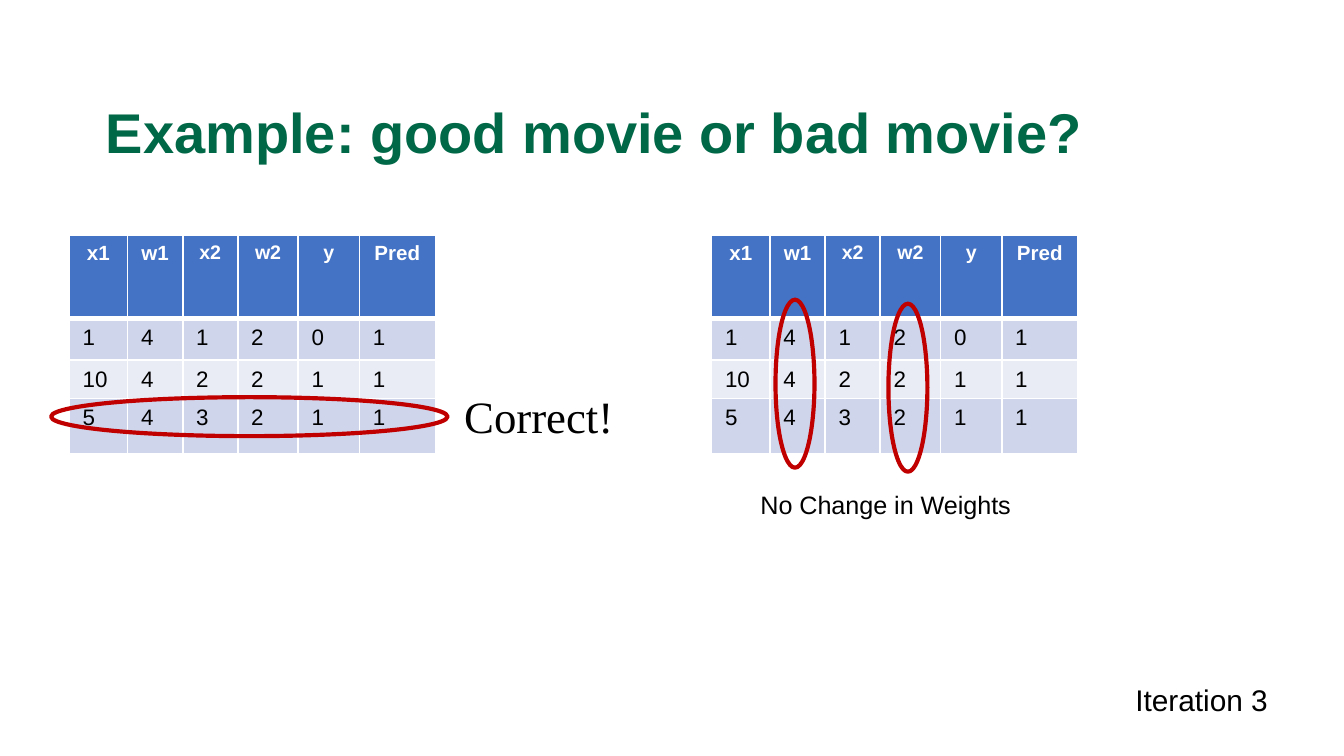
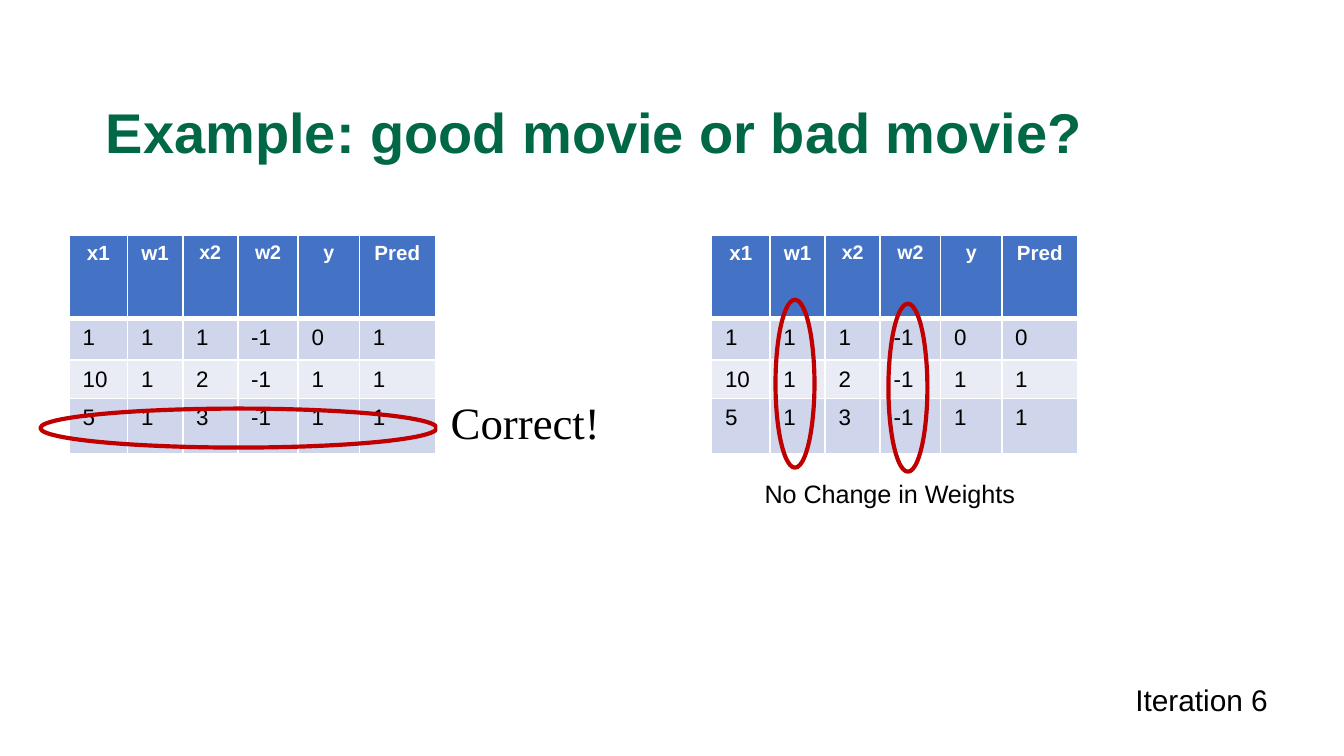
from lxml.etree import SubElement
from pptx import Presentation
from pptx.dml.color import RGBColor
from pptx.enum.shapes import MSO_SHAPE
from pptx.enum.text import MSO_ANCHOR, MSO_AUTO_SIZE, PP_ALIGN
from pptx.oxml.ns import qn
from pptx.util import Pt

PX = 4572
SLIDE_WIDTH, SLIDE_HEIGHT = 2000, 1125
GREEN = RGBColor(0x00, 0x67, 0x47)
BLUE = RGBColor(0x44, 0x72, 0xC4)
BAND_DARK = RGBColor(0xCF, 0xD5, 0xEA)
BAND_LIGHT = RGBColor(0xE9, 0xEB, 0xF5)
RED = RGBColor(0xC0, 0x00, 0x00)
WHITE = RGBColor(0xFF, 0xFF, 0xFF)
BLACK = RGBColor(0x00, 0x00, 0x00)
SANS = "Arial"
SERIF = "Times New Roman"

TITLE = "Example: good movie or bad movie?"
TITLE_BOX = (138, 126, 1724, 152)
FOOTER_BOX = (1670, 1005, 240, 74)
LEFT_TABLE = (103, 350)
RIGHT_TABLE = (1059, 350)
HEADERS = [("x1", 11), ("w1", 11), ("x2", 10.5), ("w2", 10.5), ("y", 10.5), ("Pred", 11)]
COLUMN_WIDTHS = [87, 82, 82, 90, 91, 113]
ROW_HEIGHTS = [124, 62, 57, 83]
CELL_MARGIN_BOTTOM = 6
SAMPLES = [(1, 1, 0), (10, 2, 1), (5, 3, 1)]
WEIGHT_RINGS = [(-1, 192), (167, 198)]
RING_SIZE = (250, 58)

ITERATIONS = [
    {
        "number": 3,
        "weights": (4, 2),
        "before": (1, 1, 1),
        "after": (1, 1, 1),
        "ring": (76, 591, 590, 58),
        "verdict": (671, 565, 298, 106),
        "note": (1112, 719, 418, 66),
    },
    {
        "number": 6,
        "weights": (1, -1),
        "before": (1, 1, 1),
        "after": (0, 1, 1),
        "ring": (60, 608, 590, 58),
        "verdict": (651, 574, 299, 106),
        "note": (1118, 702, 418, 66),
    },
]


def scaled(box):
    return [value * PX for value in box]


def add_run(paragraph, text, size, color=BLACK, font=SANS, bold=False):
    run = paragraph.add_run()
    run.text = text
    run.font.name = font
    run.font.size = Pt(size)
    run.font.bold = bold
    run.font.color.rgb = color


def add_title(slide, box):
    frame = slide.shapes.add_textbox(*scaled(box)).text_frame
    frame.word_wrap = True
    frame.vertical_anchor = MSO_ANCHOR.MIDDLE
    paragraph = frame.paragraphs[0]
    paragraph.line_spacing = 0.9
    add_run(paragraph, TITLE, 30, GREEN, bold=True)


def add_label(slide, box, text, size):
    frame = slide.shapes.add_textbox(*scaled(box)).text_frame
    frame.word_wrap = False
    frame.auto_size = MSO_AUTO_SIZE.SHAPE_TO_FIT_TEXT
    add_run(frame.paragraphs[0], text, size)


def add_ring(slide, box, rotation=0):
    ring = slide.shapes.add_shape(MSO_SHAPE.OVAL, *scaled(box))
    ring.shadow.inherit = False
    ring.fill.background()
    ring.line.color.rgb = RED
    ring.line.width = Pt(2.25)
    ring.rotation = rotation


def add_weight_rings(slide, table_origin):
    left, top = table_origin
    for across, down in WEIGHT_RINGS:
        add_ring(slide, (left + across, top + down, *RING_SIZE), 90)


def add_verdict(slide, box):
    shape = slide.shapes.add_shape(MSO_SHAPE.RECTANGLE, *scaled(box))
    shape.shadow.inherit = False
    shape.fill.solid()
    shape.fill.fore_color.rgb = WHITE
    shape.line.fill.background()
    frame = shape.text_frame
    frame.vertical_anchor = MSO_ANCHOR.MIDDLE
    paragraph = frame.paragraphs[0]
    paragraph.alignment = PP_ALIGN.LEFT
    add_run(paragraph, "Correct!", 24, font=SERIF)


def style_cell(cell, color, top_width, bottom_width):
    cell.margin_bottom = CELL_MARGIN_BOTTOM * PX
    properties = cell._tc.get_or_add_tcPr()
    widths = {"a:lnL": 1, "a:lnR": 1, "a:lnT": top_width, "a:lnB": bottom_width}
    for tag, width in widths.items():
        line = SubElement(properties, qn(tag), w=str(Pt(width)))
        fill = SubElement(line, qn("a:solidFill"))
        SubElement(fill, qn("a:srgbClr"), val=str(WHITE))
    cell.fill.solid()
    cell.fill.fore_color.rgb = color


def add_sample_table(slide, origin, weights, predictions):
    box = (*origin, sum(COLUMN_WIDTHS), sum(ROW_HEIGHTS))
    table = slide.shapes.add_table(
        len(ROW_HEIGHTS), len(COLUMN_WIDTHS), *scaled(box)).table
    for column, width in zip(table.columns, COLUMN_WIDTHS):
        column.width = width * PX
    for row, height in zip(table.rows, ROW_HEIGHTS):
        row.height = height * PX

    for index, (name, size) in enumerate(HEADERS):
        cell = table.cell(0, index)
        style_cell(cell, BLUE, 1, 3)
        paragraph = cell.text_frame.paragraphs[0]
        paragraph.alignment = PP_ALIGN.CENTER
        add_run(paragraph, name, size, WHITE, bold=True)

    w1, w2 = weights
    for number, ((x1, x2, y), prediction) in enumerate(zip(SAMPLES, predictions), 1):
        band = BAND_DARK if number % 2 else BAND_LIGHT
        for index, value in enumerate((x1, w1, x2, w2, y, prediction)):
            cell = table.cell(number, index)
            style_cell(cell, band, 3 if number == 1 else 1, 1)
            add_run(cell.text_frame.paragraphs[0], str(value), 12)


def add_iteration_slide(presentation, iteration):
    slide = presentation.slides.add_slide(presentation.slide_layouts[6])
    add_title(slide, TITLE_BOX)
    add_sample_table(slide, LEFT_TABLE, iteration["weights"], iteration["before"])
    add_sample_table(slide, RIGHT_TABLE, iteration["weights"], iteration["after"])
    add_ring(slide, iteration["ring"])
    add_weight_rings(slide, RIGHT_TABLE)
    add_label(slide, FOOTER_BOX, f"Iteration {iteration['number']}", 16)
    add_label(slide, iteration["note"], "No Change in Weights", 13.5)
    add_verdict(slide, iteration["verdict"])


def main():
    presentation = Presentation()
    presentation.slide_width = SLIDE_WIDTH * PX
    presentation.slide_height = SLIDE_HEIGHT * PX
    for iteration in ITERATIONS:
        add_iteration_slide(presentation, iteration)
    presentation.save("out.pptx")


if __name__ == "__main__":
    main()
